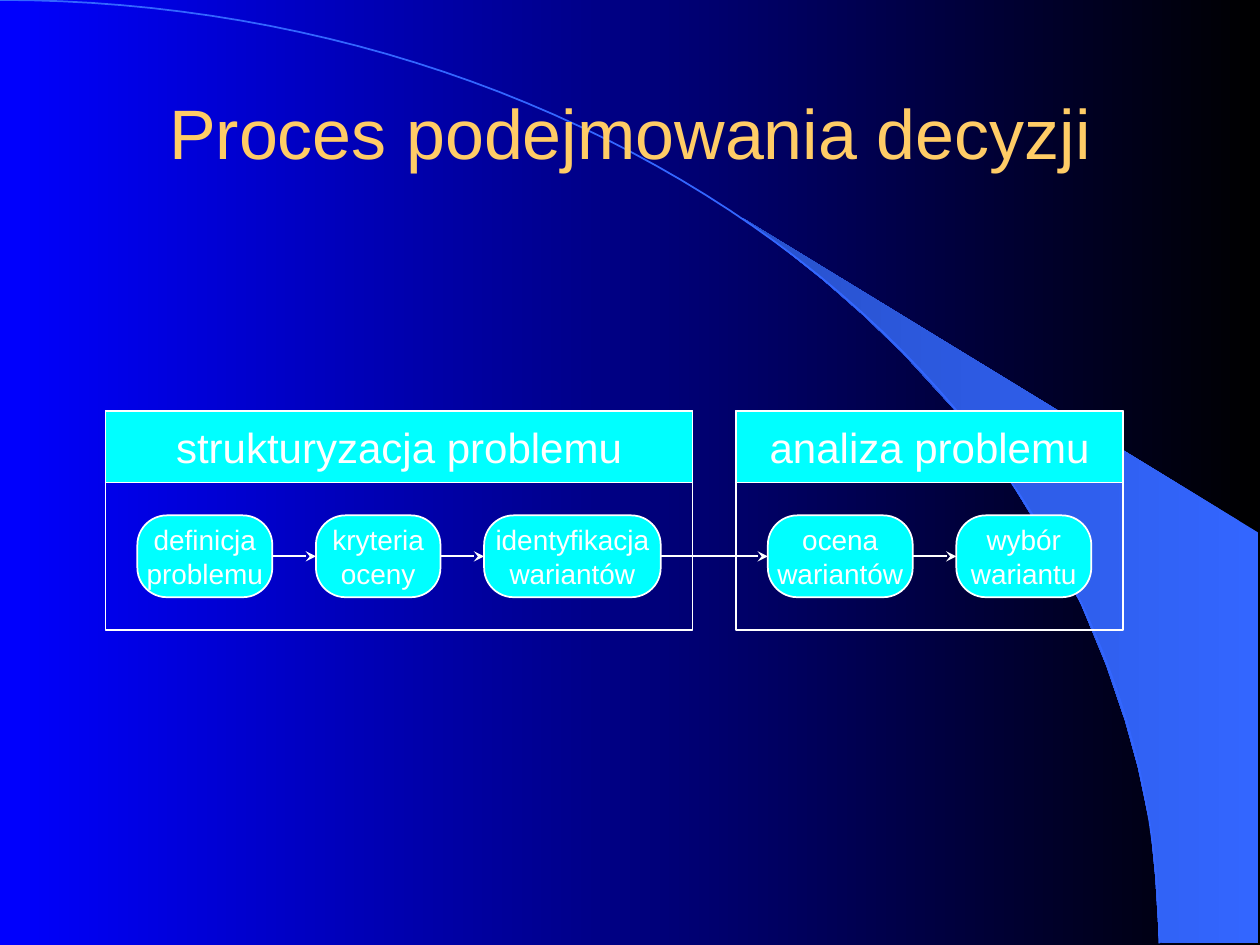
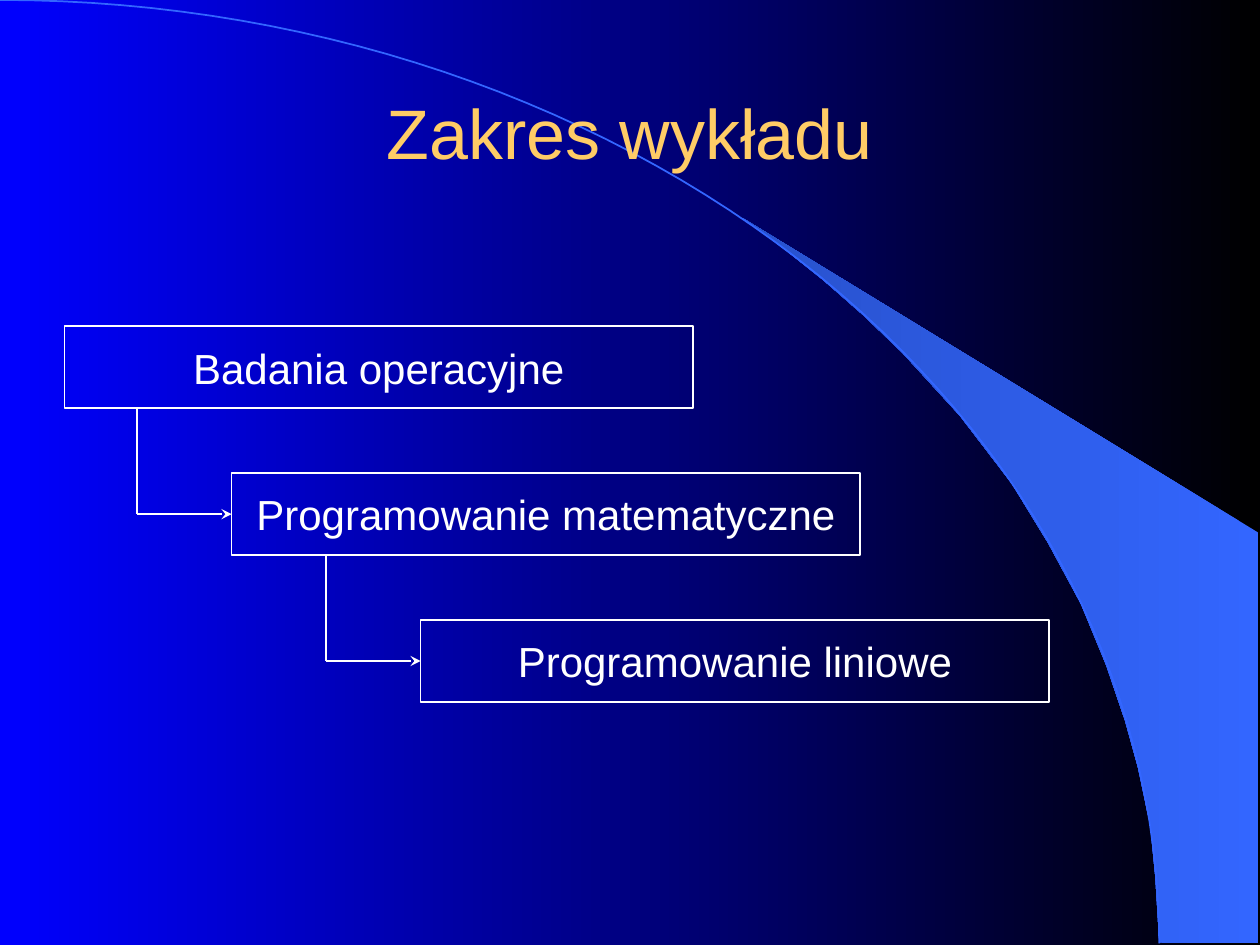
import math
from dataclasses import dataclass

from lxml import etree
from pptx import Presentation
from pptx import util as u
from pptx.dml.color import RGBColor
from pptx.enum import shapes, text
from pptx.oxml.ns import qn


@dataclass(frozen=True)
class Theme:
    font: str = "Arial"
    title_size: int = 40
    heading_size: int = 24
    step_size: int = 16
    line_width: int = 1
    title: str = "FFCC66"
    white: str = "FFFFFF"
    cyan: str = "00FFFF"
    swoosh: str = "3366FF"
    swoosh_dark: str = "2851CB"
    night: str = "000000"
    blue: str = "0000FF"


THEME = Theme()

# All lengths below are centimetres.
SLIDE_WIDTH, SLIDE_HEIGHT = 25.4, 19.05
ARC_WIDTH, ARC_HEIGHT, ARC_SEGMENTS = 23.37, 19.02, 60
SWOOSH_POINTS = [
    (23.37, 19), (25.37, 19.02), (25.37, 10.74), (14.96, 4.39), (15.85, 5.05),
    (16.59, 5.64), (17.4, 6.35), (18.19, 7.11), (19.35, 8.38), (20.4, 9.75),
    (21.13, 10.95), (21.79, 12.17), (22.3, 13.41), (22.68, 14.53),
    (22.94, 15.47), (23.19, 16.66), (23.29, 17.68),
]

PANEL_LEFT, PANEL_TOP, PANEL_HEIGHT, HEADER_HEIGHT = 2.13, 8.28, 4.42, 1.45
PANEL_PADDING, GAP = 0.64, 0.88
STEP_TOP, BOX_HEIGHT, STEP_ROUNDING = 10.39, 1.65, 0.36
PANELS = [
    ("strukturyzacja problemu", [("definicja\nproblemu", 2.72),
                                 ("kryteria\noceny", 2.51),
                                 ("identyfikacja\nwariantów", 3.56)]),
    ("analiza problemu", [("ocena\nwariantów", 2.92),
                          ("wybór\nwariantu", 2.72)]),
]

SCOPE_TOP, SCOPE_WIDTH, SCOPE_PITCH, STEM_INDENT = 6.58, 12.67, 2.96, 1.91
SCOPE = [("Badania operacyjne", 1.3), ("Programowanie matematyczne", 4.67),
         ("Programowanie liniowe", 8.48)]


def rgb(value):
    return RGBColor.from_string(value)


def fill_gradient(fill, right, left):
    fill.gradient()
    fill.gradient_angle = 180
    for stop, color in zip(fill.gradient_stops, (right, left)):
        stop.color.rgb = rgb(color)


def style_line(line, color):
    line.color.rgb = rgb(color)
    line.width = u.Pt(THEME.line_width)


def style_text(text_frame, size, color):
    for paragraph in text_frame.paragraphs:
        paragraph.alignment = text.PP_ALIGN.CENTER
        for run in paragraph.runs:
            run.font.name = THEME.font
            run.font.size = u.Pt(size)
            run.font.color.rgb = rgb(color)


def add_outline(slide, points, close):
    (start_x, start_y), *others = [(u.Cm(x), u.Cm(y)) for x, y in points]
    builder = slide.shapes.build_freeform(start_x, start_y)
    builder.add_line_segments(others, close=close)
    outline = builder.convert_to_shape()
    outline.shadow.inherit = False
    return outline


def style_layout(layout, slide):
    """Give the layout its background, curves and title place; slide is used to draw the curves."""
    fill_gradient(layout.background.fill, THEME.night, THEME.blue)

    swoosh = add_outline(slide, SWOOSH_POINTS, close=True)
    fill_gradient(swoosh.fill, THEME.swoosh, THEME.swoosh_dark)
    swoosh.line.fill.background()

    angles = [math.pi / 2 * step / ARC_SEGMENTS for step in range(ARC_SEGMENTS + 1)]
    arc = add_outline(slide, [(ARC_WIDTH * math.sin(angle), ARC_HEIGHT * (1 - math.cos(angle)))
                              for angle in angles], close=False)
    arc.fill.background()
    style_line(arc.line, THEME.swoosh)

    for position, curve in enumerate((swoosh, arc), start=2):
        layout.shapes.element.insert(position, curve.element)

    title = next(shape for shape in layout.placeholders
                 if shape.placeholder_format.type == shapes.PP_PLACEHOLDER.TITLE)
    title.left, title.top = u.Cm(1.9), u.Cm(1.06)
    title.width, title.height = u.Cm(21.59), u.Cm(3.18)


def set_title(slide, wording):
    text_frame = slide.shapes.title.text_frame
    text_frame.text = wording
    text_frame.vertical_anchor = text.MSO_ANCHOR.MIDDLE
    style_text(text_frame, THEME.title_size, THEME.title)


def add_box(slide, left, top, width, height, wording="", size=THEME.heading_size,
            fill=None, rounding=None):
    kind = shapes.MSO_SHAPE.ROUNDED_RECTANGLE if rounding else shapes.MSO_SHAPE.RECTANGLE
    box = slide.shapes.add_shape(kind, u.Cm(left), u.Cm(top), u.Cm(width), u.Cm(height))
    box.shadow.inherit = False
    if rounding:
        box.adjustments[0] = rounding
    if fill:
        box.fill.solid()
        box.fill.fore_color.rgb = rgb(fill)
    else:
        box.fill.background()
    style_line(box.line, THEME.white)
    if wording:
        box.text_frame.text = wording
        box.text_frame.word_wrap = False
        box.text_frame.vertical_anchor = text.MSO_ANCHOR.MIDDLE
        style_text(box.text_frame, size, THEME.white)
    return box


def add_line(slide, start=(0, 0), end=(0, 0), source=None, target=None):
    """Join source's right side to target's left side; target also gets an arrowhead."""
    line = slide.shapes.add_connector(shapes.MSO_CONNECTOR.STRAIGHT,
                                      *(u.Cm(value) for value in (*start, *end)))
    if source:
        line.begin_connect(source, 3)
    if target:
        line.end_connect(target, 1)
    style_line(line.line, THEME.white)
    properties = line.element.spPr
    if target:
        etree.SubElement(properties.find(qn("a:ln")), qn("a:tailEnd"), type="stealth")
    etree.SubElement(properties, qn("a:effectLst"))


def add_panel(slide, left, heading, steps):
    """Draw a headed frame around a row of steps; return its width and the step shapes."""
    width = 2 * PANEL_PADDING + sum(size for _, size in steps) + GAP * (len(steps) - 1)
    add_box(slide, left, PANEL_TOP, width, PANEL_HEIGHT)
    add_box(slide, left, PANEL_TOP, width, HEADER_HEIGHT, heading, fill=THEME.cyan)
    step_left = left + PANEL_PADDING
    step_boxes = []
    for wording, step_width in steps:
        step_boxes.append(add_box(slide, step_left, STEP_TOP, step_width, BOX_HEIGHT, wording,
                                  THEME.step_size, THEME.cyan, STEP_ROUNDING))
        step_left += step_width + GAP
    return width, step_boxes


def build_process(slide):
    set_title(slide, "Proces podejmowania decyzji")
    left, all_steps = PANEL_LEFT, []
    for heading, steps in PANELS:
        width, step_boxes = add_panel(slide, left, heading, steps)
        left += width + GAP
        all_steps += step_boxes
    for source, target in zip(all_steps, all_steps[1:]):
        add_line(slide, source=source, target=target)


def build_scope(slide):
    set_title(slide, "Zakres wykładu")
    for level, (wording, left) in enumerate(SCOPE):
        top = SCOPE_TOP + level * SCOPE_PITCH
        box = add_box(slide, left, top, SCOPE_WIDTH, BOX_HEIGHT, wording)
        if level:
            corner = (left - STEM_INDENT, top + BOX_HEIGHT / 2)
            add_line(slide, (corner[0], top - SCOPE_PITCH + BOX_HEIGHT), corner)
            add_line(slide, corner, target=box)


def main():
    presentation = Presentation()
    presentation.slide_width = u.Cm(SLIDE_WIDTH)
    presentation.slide_height = u.Cm(SLIDE_HEIGHT)
    layout = presentation.slide_layouts.get_by_name("Title Only")
    process, scope = (presentation.slides.add_slide(layout) for _ in range(2))
    style_layout(layout, process)
    build_process(process)
    build_scope(scope)
    presentation.save("out.pptx")


if __name__ == "__main__":
    main()
